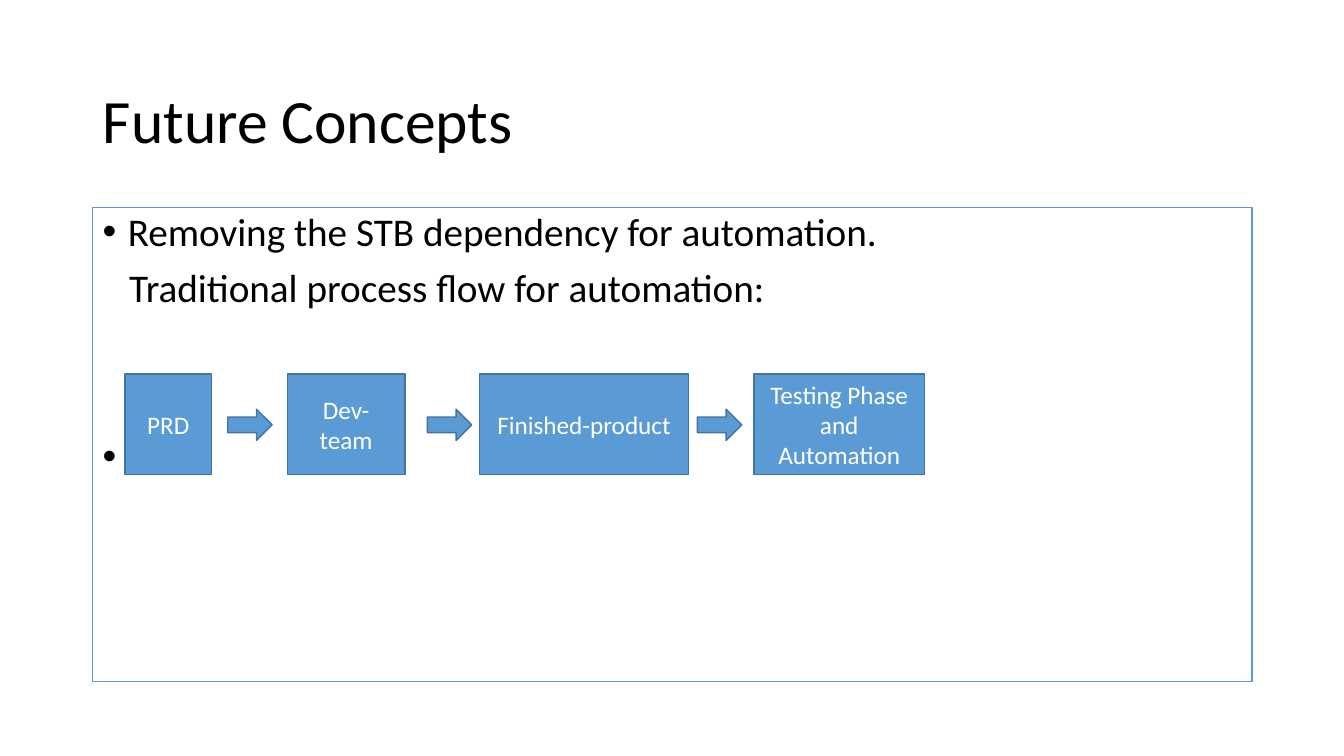
"""Build the Future Concepts slide with its automation process flow."""
from dataclasses import dataclass

from lxml import etree
from pptx import Presentation
from pptx.dml.color import RGBColor
from pptx.enum.shapes import MSO_SHAPE
from pptx.enum.text import MSO_ANCHOR, MSO_AUTO_SIZE, PP_ALIGN
from pptx.oxml.ns import qn
from pptx.shapes.autoshape import Shape
from pptx.slide import Slide
from pptx.text.text import TextFrame
from pptx.util import Pt

RECTANGLE, RIGHT_ARROW = MSO_SHAPE.RECTANGLE, MSO_SHAPE.RIGHT_ARROW
LEFT, CENTER = PP_ALIGN.LEFT, PP_ALIGN.CENTER
TOP, MIDDLE = MSO_ANCHOR.TOP, MSO_ANCHOR.MIDDLE
NO_AUTOFIT = MSO_AUTO_SIZE.NONE

COLORS = {"black": "000000", "white": "FFFFFF", "blue": "5B9BD5", "edge": "43739E"}
FONT = "Calibri"
MARGIN_LEFT, CONTENT_WIDTH = 66.24, 828
STEP_TOP, STEP_HEIGHT = 267.1, 72
ARROW_WIDTH, ARROW_HEIGHT = 31.7, 22.3
ARROW_TOP = 292.3
ARROW_LEFTS = (162.7, 305.3, 498.2)


@dataclass(frozen=True)
class Step:
    """One box of the process flow."""

    text: str
    left: float
    width: float


@dataclass(frozen=True)
class BodyLine:
    """One paragraph of the content box."""

    text: str
    space_before: float
    indent: float
    bullet: bool


STEPS = (
    Step("PRD", 89.3, 61.9),
    Step("Dev-team", 205.2, 84.2),
    Step("Finished-product", 342.7, 149),
    Step("Testing Phase and Automation", 538.6, 121.7),
)
BODY_LINES = (
    BodyLine("Removing the STB dependency for automation.", 0, 18, True),
    BodyLine("Traditional process flow for automation:", 10, 19, False),
    BodyLine(" ", 90, 18, True),
)


def write_text(frame: TextFrame, text: str, *, size: float, color: str,
               align: PP_ALIGN = LEFT, anchor: MSO_ANCHOR = MIDDLE,
               spacing: float = 1.0, space_before: float = 0,
               indent: float = 0, bullet: bool = False) -> None:
    """Write a paragraph, filling the empty first one or adding another."""
    frame.word_wrap = True
    frame.auto_size = NO_AUTOFIT
    frame.vertical_anchor = anchor
    paragraph = frame.add_paragraph() if frame.text else frame.paragraphs[0]
    paragraph.alignment = align
    paragraph.line_spacing = spacing
    paragraph.space_before = Pt(space_before)
    run = paragraph.add_run()
    run.text = text
    run.font.name = FONT
    run.font.size = Pt(size)
    run.font.color.rgb = RGBColor.from_string(COLORS[color])
    if indent:
        properties = paragraph._p.get_or_add_pPr()
        properties.set("marL", str(Pt(indent)))
        properties.set("indent", str(Pt(-indent if bullet else 0)))
        if bullet:
            etree.SubElement(properties, qn("a:buFont"), typeface="Arial")
            etree.SubElement(properties, qn("a:buChar"), char="•")


def add_box(slide: Slide, kind: MSO_SHAPE, left: float, top: float, width: float,
            height: float, fill: str = "blue", line: str = "edge") -> Shape:
    """Add a flat filled shape with a one-point outline."""
    shape = slide.shapes.add_shape(kind, Pt(left), Pt(top), Pt(width), Pt(height))
    shape.shadow.inherit = False
    shape.fill.solid()
    shape.fill.fore_color.rgb = RGBColor.from_string(COLORS[fill])
    shape.line.color.rgb = RGBColor.from_string(COLORS[line])
    shape.line.width = Pt(1)
    return shape


def add_title(slide: Slide) -> None:
    """Place and format the title placeholder."""
    title = slide.shapes.title
    title.left, title.top = Pt(MARGIN_LEFT), Pt(28.8)
    title.width, title.height = Pt(CONTENT_WIDTH), Pt(119.52)
    write_text(title.text_frame, "Future Concepts", size=44, color="black", spacing=0.9)


def add_body(slide: Slide) -> None:
    """Add the outlined content box and its lines."""
    body = add_box(slide, RECTANGLE, MARGIN_LEFT, 148.32, CONTENT_WIDTH, 338.4,
                   fill="white", line="blue")
    for line in BODY_LINES:
        write_text(body.text_frame, line.text, size=28, color="black", anchor=TOP,
                   spacing=0.9, space_before=line.space_before,
                   indent=line.indent, bullet=line.bullet)


def add_flow(slide: Slide) -> None:
    """Add the process steps and the arrows between them."""
    for step in STEPS:
        box = add_box(slide, RECTANGLE, step.left, STEP_TOP, step.width, STEP_HEIGHT)
        write_text(box.text_frame, step.text, size=18, color="white", align=CENTER)
    for left in ARROW_LEFTS:
        add_box(slide, RIGHT_ARROW, left, ARROW_TOP, ARROW_WIDTH, ARROW_HEIGHT)


def main() -> None:
    """Build and save the presentation."""
    presentation = Presentation()
    presentation.slide_width, presentation.slide_height = Pt(960), Pt(540)
    slide = presentation.slides.add_slide(presentation.slide_layouts[5])
    add_title(slide)
    add_body(slide)
    add_flow(slide)
    presentation.save("out.pptx")


if __name__ == "__main__":
    main()
